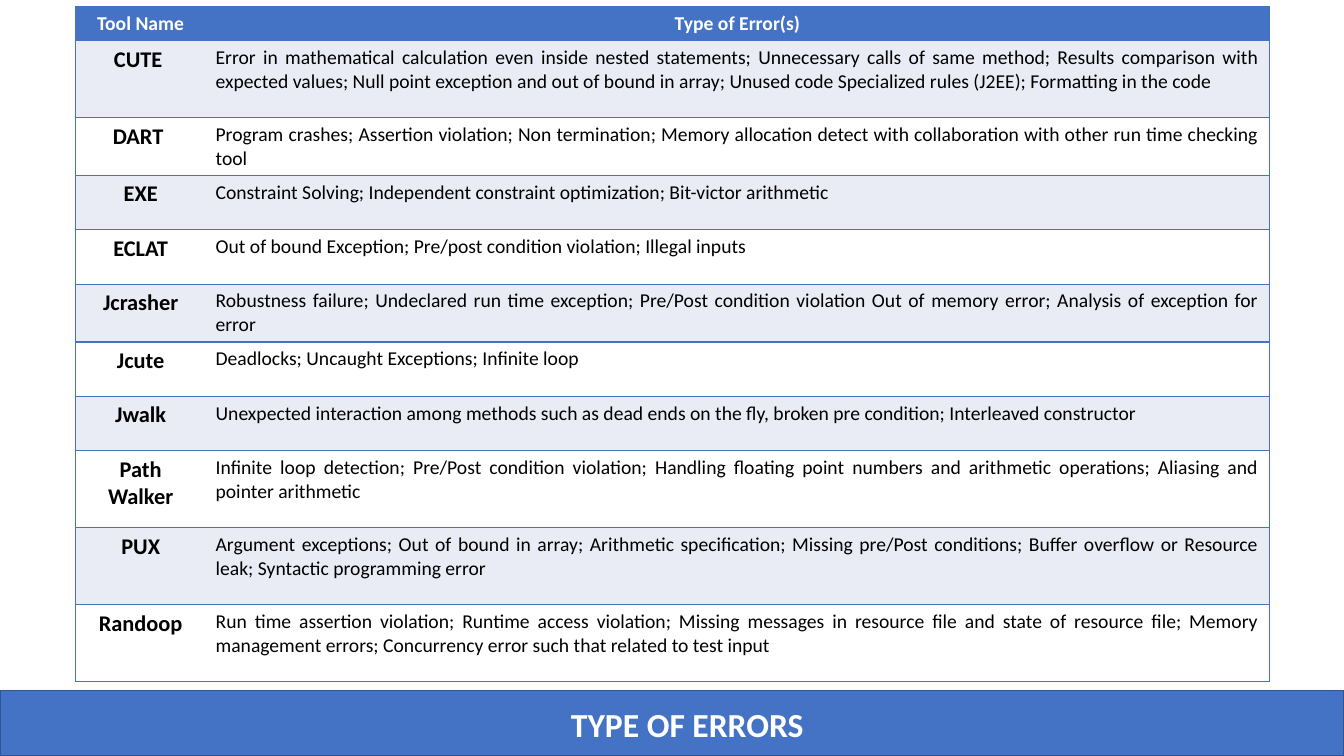
from pptx import Presentation
from pptx.dml.color import RGBColor
from pptx.enum.shapes import MSO_SHAPE as Shape
from pptx.enum.text import MSO_ANCHOR as Anchor, MSO_AUTO_SIZE as AutoSize, PP_ALIGN as Align
from pptx.oxml import parse_xml
from pptx.oxml.ns import nsdecls
from pptx.util import Cm, Pt

NO_GRID_STYLE = "{2D5ABB26-0587-4C30-8999-92F81FD0307C}"
HEADER = ("Tool Name", "Type of Error(s)")
# Tool, row height in cm, errors found
TOOLS = [
    ("CUTE ", 1.94, "Error in mathematical calculation even inside nested statements; "
     "Unnecessary calls of same method; Results comparison with expected values; "
     "Null point exception and out of bound in array; Unused code Specialized rules (J2EE); "
     "Formatting in the code"),
    ("DART ", 1.37, "Program crashes; Assertion violation; Non termination; Memory allocation "
     "detect with collaboration with other run time checking tool"),
    ("EXE", 1.37, "Constraint Solving; Independent constraint optimization; "
     "Bit-victor arithmetic"),
    ("ECLAT", 1.37, "Out of bound Exception; Pre/post condition violation; Illegal inputs"),
    ("Jcrasher", 1.37, "Robustness failure; Undeclared run time exception; Pre/Post condition "
     "violation Out of memory error; Analysis of exception for error"),
    ("Jcute", 1.37, "Deadlocks; Uncaught Exceptions; Infinite loop"),
    ("Jwalk", 1.37, "Unexpected interaction among methods such as dead ends on the fly, "
     "broken pre condition; Interleaved constructor"),
    ("Path Walker", 1.94, "Infinite loop detection; Pre/Post condition violation; Handling "
     "floating point numbers and arithmetic operations; Aliasing and pointer arithmetic"),
    ("PUX", 1.94, "Argument exceptions; Out of bound in array; Arithmetic specification; "
     "Missing pre/Post conditions; Buffer overflow or Resource leak; "
     "Syntactic programming error"),
    ("Randoop", 1.94, "Run time assertion violation; Runtime access violation; Missing messages "
     "in resource file and state of resource file; Memory management errors; "
     "Concurrency error such that related to test input"),
]


def rgb(color):
    return RGBColor.from_string(color)


class ErrorSlide:
    font = "Calibri"
    blue, dark_blue, band = "4472C4", "325491", "E9EBF5"
    white, black = "FFFFFF", "000000"

    def __init__(self, prs):
        self.s = prs.slides.add_slide(prs.slide_layouts[5])

    def text(self, tf, text, size, color, bold, align):
        p = tf.paragraphs[0]
        p.alignment = align
        r = p.add_run()
        r.text = text
        r.font.name, r.font.size, r.font.bold = self.font, Pt(size), bold
        r.font.color.rgb = rgb(color)

    def borders(self, cell, sides):
        tc_pr = cell._tc.get_or_add_tcPr()
        for i, side in enumerate(sides):
            tc_pr.insert(i, parse_xml(
                f'<a:ln{side} {nsdecls("a")} w="12700"><a:solidFill>'
                f'<a:srgbClr val="{self.blue}"/></a:solidFill></a:ln{side}>'))

    def cell(self, cell, fill, sides, *style):
        cell.fill.solid()
        cell.fill.fore_color.rgb = rgb(fill)
        self.borders(cell, sides)
        self.text(cell.text_frame, *style)

    def table(self, left, top, widths, header_height):
        heights = [header_height] + [height for _, height, _ in TOOLS]
        frame = self.s.shapes.add_table(len(heights), len(widths), Cm(left), Cm(top),
                                        Cm(sum(widths)), Cm(sum(heights)))
        table = frame.table
        table._tbl.tblPr.find("{*}tableStyleId").text = NO_GRID_STYLE
        for column, width in zip(table.columns, widths):
            column.width = Cm(width)
        for row, height in zip(table.rows, heights):
            row.height = Cm(height)

        for c, (label, sides) in enumerate(zip(HEADER, ("LTB", "RTB"))):
            self.cell(table.cell(0, c), self.blue, sides,
                      label, 14, self.white, True, Align.CENTER)
        for i, (tool, _, errors) in enumerate(TOOLS, 1):
            fill = self.band if i % 2 else self.white
            self.cell(table.cell(i, 0), fill, "LTB",
                      tool, 16, self.black, True, Align.CENTER)
            self.cell(table.cell(i, 1), fill, "RTB",
                      errors, 14, self.black, False, Align.JUSTIFY)

    def bar(self, left, top, width, height):
        sp = self.s.shapes.add_shape(Shape.RECTANGLE, Cm(left), Cm(top), Cm(width), Cm(height))
        sp.shadow.inherit = False
        sp.fill.solid()
        sp.fill.fore_color.rgb = rgb(self.blue)
        sp.line.color.rgb = rgb(self.dark_blue)
        sp.line.width = Pt(1)

    def title(self, text, left, top, width, height):
        sp = self.s.shapes.title
        sp.left, sp.top, sp.width, sp.height = Cm(left), Cm(top), Cm(width), Cm(height)
        tf = sp.text_frame
        tf.word_wrap = True
        tf.auto_size = AutoSize.SHAPE_TO_FIT_TEXT
        tf.vertical_anchor = Anchor.MIDDLE
        self.text(tf, text, 24, self.white, True, Align.CENTER)
        # Bring the title in front of the bar
        self.s.shapes._spTree.append(sp._element)


def main():
    prs = Presentation()
    prs.slide_width, prs.slide_height = Cm(33.87), Cm(19.05)
    slide = ErrorSlide(prs)

    # Table of tools
    slide.table(1.91, 0.17, (3.27, 26.81), 0.82)

    # Title bar at the bottom
    slide.bar(0, 17.4, 33.87, 1.65)
    slide.title("TYPE OF ERRORS", 3.63, 17.6, 27.38, 1.28)

    prs.save("out.pptx")


if __name__ == "__main__":
    main()
